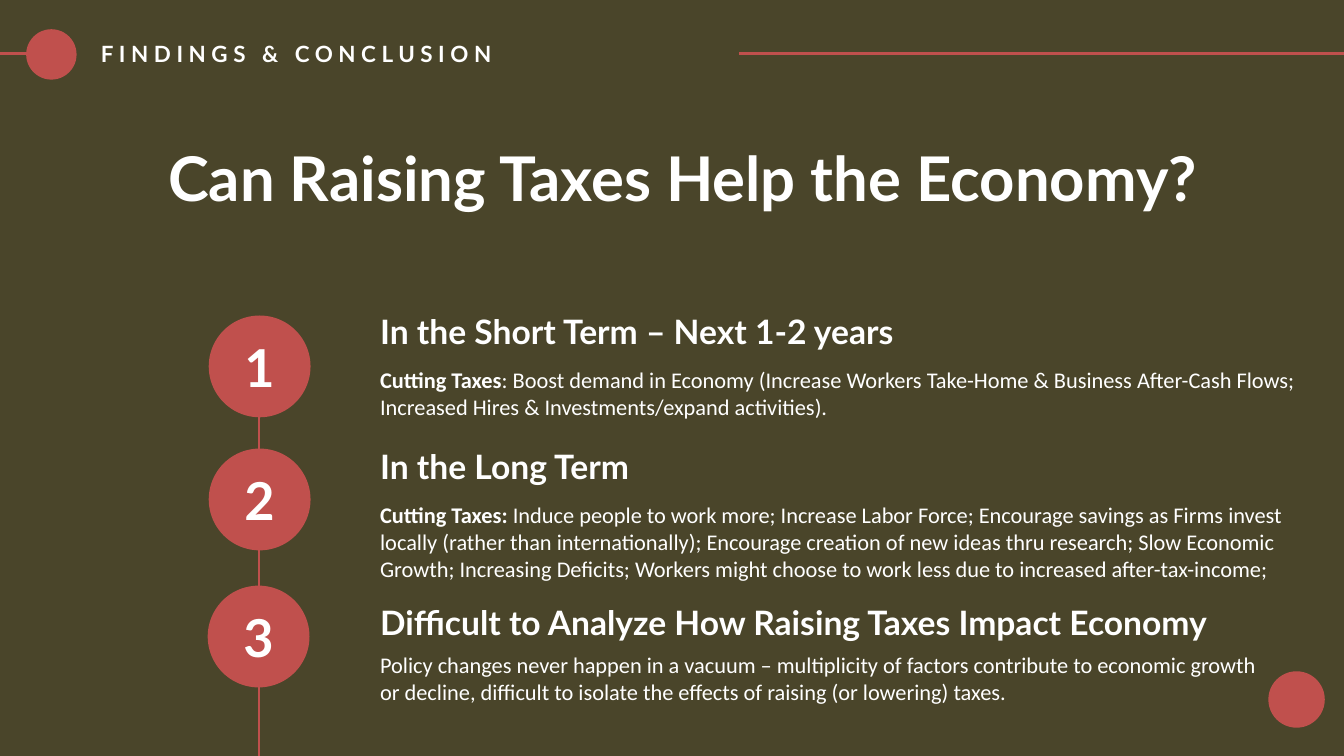
import pptx
import pptx.dml.color
import pptx.enum.shapes
import pptx.enum.text
import pptx.oxml
import pptx.util
from pptx.util import Inches

BACKGROUND, ACCENT, WHITE = "4A452A", "C0504D", "FFFFFF"
ANCHOR = pptx.enum.text.MSO_ANCHOR
ALIGN = pptx.enum.text.PP_ALIGN
SLIDE_WIDTH, SLIDE_HEIGHT = 13.33, 7.5
CIRCLE_SIZE = 1.01
TEXT_LEFT = 3.77

# Circle left and top, heading top, body top, body width, heading, bold lead, body
FINDINGS = [
    (2.07, 3.13, 3.08, 3.63, 9.19, "In the Short Term – Next 1-2 years", "Cutting Taxes",
     ": Boost demand in Economy (Increase Workers Take-Home & Business After-Cash Flows; "
     "Increased Hires & Investments/expand activities)."),
    (2.07, 4.45, 4.42, 4.97, 9.19, "In the Long Term", "Cutting Taxes: ",
     "Induce people to work more; Increase Labor Force; Encourage savings as Firms invest "
     "locally (rather than internationally); Encourage creation of new ideas thru research; "
     "Slow Economic Growth; Increasing Deficits; Workers might choose to work less due to "
     "increased after-tax-income;"),
    (2.06, 5.81, 5.97, 6.46, 8.83, "Difficult to Analyze How Raising Taxes Impact Economy", "",
     "Policy changes never happen in a vacuum – multiplicity of factors contribute to economic "
     "growth or decline, difficult to isolate the effects of raising (or lowering) taxes."),
]


def color(hex_string):
    return pptx.dml.color.RGBColor.from_string(hex_string)


def write(shape, runs, size, font="Lato", align=ALIGN.LEFT, anchor=ANCHOR.TOP):
    """Fill a shape with one paragraph of (text, bold) runs, without margins."""
    frame = shape.text_frame
    frame.word_wrap = True
    frame.vertical_anchor = anchor
    frame.margin_left = frame.margin_top = frame.margin_right = frame.margin_bottom = 0
    paragraph = frame.paragraphs[0]
    paragraph.alignment = align
    for text, bold in runs:
        run = paragraph.add_run()
        run.text = text
        run.font.name = font
        run.font.size = pptx.util.Pt(size)
        run.font.bold = bold
        run.font.color.rgb = color(WHITE)
    return paragraph


def add_text(slide, left, top, width, height, runs, size, **style):
    box = slide.shapes.add_textbox(Inches(left), Inches(top), Inches(width), Inches(height))
    return write(box, runs, size, **style)


def add_circle(slide, left, top, size):
    circle = slide.shapes.add_shape(
        pptx.enum.shapes.MSO_SHAPE.OVAL, Inches(left), Inches(top), Inches(size), Inches(size))
    circle.shadow.inherit = False
    circle.fill.solid()
    circle.fill.fore_color.rgb = color(ACCENT)
    circle.line.fill.background()
    return circle


def add_line(slide, x1, y1, x2, y2):
    line = slide.shapes.add_connector(
        pptx.enum.shapes.MSO_CONNECTOR.STRAIGHT, Inches(x1), Inches(y1), Inches(x2), Inches(y2))
    line.line.color.rgb = color(ACCENT)
    line.line.width = pptx.util.Pt(2)
    properties = line._element.spPr
    properties.append(pptx.oxml.parse_xml(
        '<a:effectLst xmlns:a="http://schemas.openxmlformats.org/drawingml/2006/main"/>'))


def add_header(slide, left, top, width):
    middle = top + 0.24
    add_circle(slide, left + 0.26, top, 0.5)
    add_line(slide, left + 0.56, middle, left, middle)
    add_line(slide, left + width, middle, left + 7.33, middle)
    paragraph = add_text(slide, left + 1, top + 0.11, 6.33, 0.26,
                         [("FINDINGS & CONCLUSION", True)], 16)
    for run in paragraph.runs:
        run.font._element.set("spc", "400")


def add_finding(slide, number, finding):
    left, top, heading_top, body_top, body_width, heading, lead, body = finding
    circle = add_circle(slide, left, top, CIRCLE_SIZE)
    write(circle, [(str(number), True)], 37.3, align=ALIGN.CENTER, anchor=ANCHOR.MIDDLE)
    add_text(slide, TEXT_LEFT, heading_top, SLIDE_WIDTH - TEXT_LEFT, 0.44, [(heading, True)], 24)
    runs = [(lead, True), (body, False)] if lead else [(body, False)]
    add_text(slide, TEXT_LEFT, body_top, body_width, 0.51, runs, 16, font="Calibri")


def main():
    presentation = pptx.Presentation()
    presentation.slide_width = Inches(SLIDE_WIDTH)
    presentation.slide_height = Inches(SLIDE_HEIGHT)
    slide = presentation.slides.add_slide(presentation.slide_layouts[6])
    slide.background.fill.solid()
    slide.background.fill.fore_color.rgb = color(BACKGROUND)

    add_circle(slide, 12.58, 6.66, 0.56)
    add_header(slide, 0, 0.29, SLIDE_WIDTH)
    add_text(slide, 0.04, 1.39, 13.47, 0.72, [("Can Raising Taxes Help the Economy?", True)], 44,
             align=ALIGN.CENTER, anchor=ANCHOR.MIDDLE)
    add_line(slide, 2.57, 3.75, 2.57, SLIDE_HEIGHT)
    for number, finding in enumerate(FINDINGS, start=1):
        add_finding(slide, number, finding)
    presentation.save("out.pptx")


if __name__ == "__main__":
    main()
